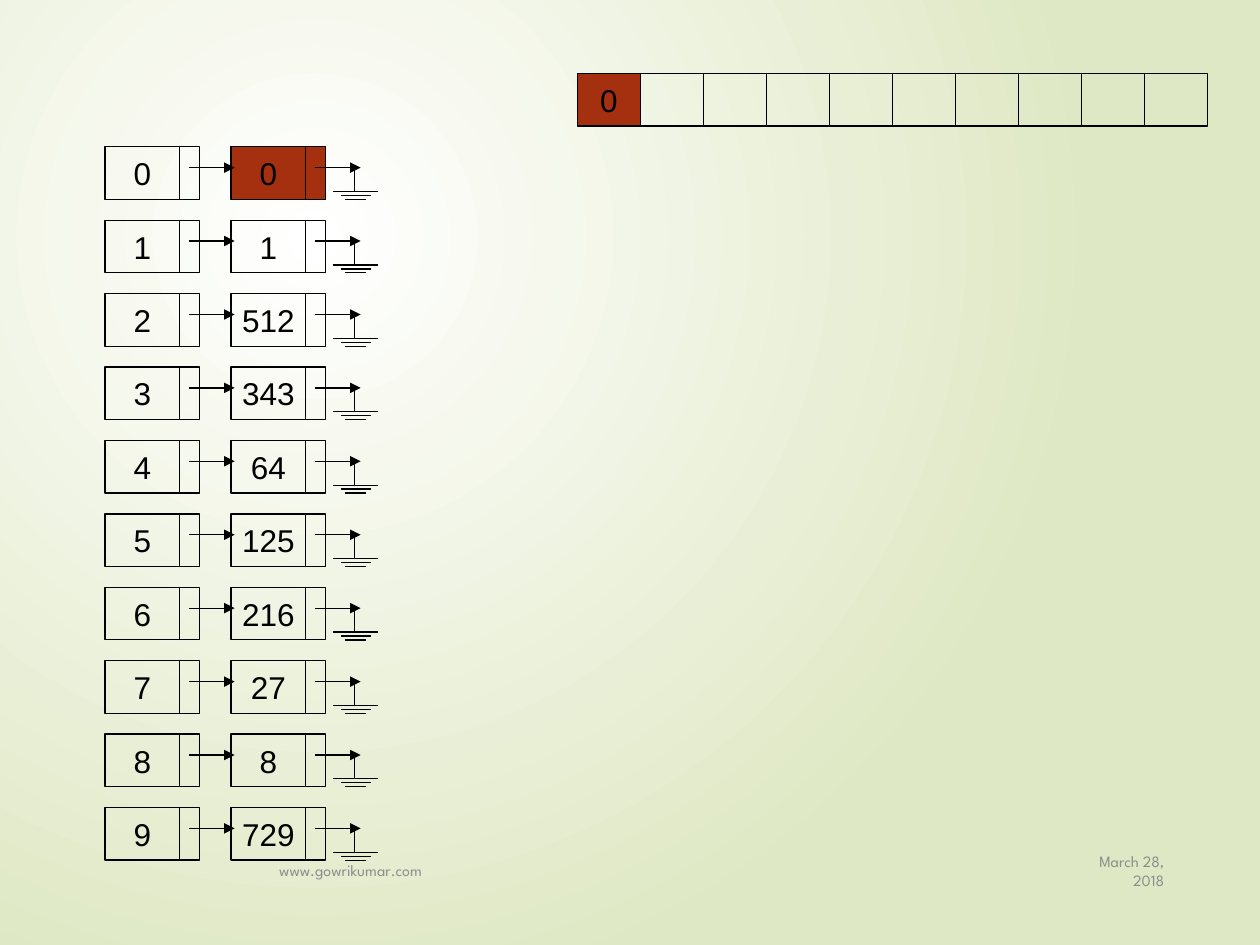
"""Build a radix sort slide: ten linked buckets and the output array."""
from lxml import etree
from pptx import Presentation
from pptx.dml.color import RGBColor
from pptx.enum.shapes import MSO_CONNECTOR as Link, MSO_SHAPE as Shape
from pptx.enum.text import MSO_ANCHOR as Anchor, PP_ALIGN as Align
from pptx.oxml.ns import qn
from pptx.util import Cm, Pt

COLORS = {
    "ink": "000000",
    "active": "A53010",
    "footer": "8C8C8C",
    "center": "FFFFFF",
    "edge": "DFE8C4",
}
BUCKETS = ["0", "1", "512", "343", "64", "125", "216", "27", "8", "729"]
ARRAY = ["0"] + [""] * 9
ACTIVE = 0
FOOTERS = [
    ("March 28, 2018", (21.59, 17.04, 2.13, 1.02), Align.RIGHT),
    ("www.gowrikumar.com", (5.38, 17.04, 15.88, 1.02), Align.LEFT),
]
CELL_FONT = {"name": "Arial", "size": Pt(18)}
FOOTER_FONT = {"name": "League Spartan", "size": Pt(9)}

INDEX_LEFT, NODE_LEFT, LIST_TOP, PITCH = 2.12, 4.66, 2.96, 1.48
VALUE_WIDTH, POINTER_WIDTH, HEIGHT = 1.5, 0.41, 1.06
ARRAY_LEFT, ARRAY_TOP, CELL_WIDTH = 11.64, 1.48, 1.27
ARROW = (1.69, 0.42, 2.61, 0.42)
GROUND = [
    (2.05, 0.9, 2.96, 0.9),
    (2.29, 1.06, 2.71, 1.06),
    (2.22, 0.98, 2.81, 0.98),
    (2.48, 0.9, 2.48, 0.42),
]


def color(name):
    return RGBColor.from_string(COLORS[name])


def write(box, text, font, ink, align):
    frame = box.text_frame
    frame.vertical_anchor = Anchor.MIDDLE
    para = frame.paragraphs[0]
    para.alignment = align
    span = para.add_run()
    span.text = text
    for key, value in font.items():
        setattr(span.font, key, value)
    span.font.color.rgb = color(ink)


def outline(line):
    line.color.rgb = color("ink")
    line.width = Pt(0.75)


def add_cell(shapes, left, top, width, text="", active=False):
    box = shapes.add_shape(Shape.RECTANGLE, Cm(left), Cm(top), Cm(width), Cm(HEIGHT))
    box.shadow.inherit = False
    if active:
        box.fill.solid()
        box.fill.fore_color.rgb = color("active")
    else:
        box.fill.background()
    outline(box.line)
    if text:
        box.text_frame.word_wrap = False
        write(box, text, CELL_FONT, "ink", Align.CENTER)


def add_line(shapes, left, top, offsets, arrow=False):
    x1, y1, x2, y2 = offsets
    line = shapes.add_connector(
        Link.STRAIGHT, Cm(left + x1), Cm(top + y1), Cm(left + x2), Cm(top + y2))
    outline(line.line)
    properties = line.element.find(qn("p:spPr"))
    if arrow:
        etree.SubElement(properties.find(qn("a:ln")), qn("a:tailEnd"), type="triangle")
    etree.SubElement(properties, qn("a:effectLst"))


def add_node(page, left, top, text, active=False):
    shapes = page.shapes.add_group_shape().shapes
    add_cell(shapes, left, top, VALUE_WIDTH, text, active)
    add_cell(shapes, left + VALUE_WIDTH, top, POINTER_WIDTH, active=active)
    return shapes


def paint_background(page):
    fill = page.background.fill
    fill.gradient()
    for stop, name in zip(fill.gradient_stops, ("center", "edge")):
        stop.color.rgb = color(name)
    gradient = page.element.find(".//" + qn("a:gradFill"))
    gradient.remove(gradient.find(qn("a:lin")))
    circle = etree.SubElement(gradient, qn("a:path"), path="circle")
    etree.SubElement(circle, qn("a:fillToRect"),
                     l="50000", t="50000", r="100000", b="100000")


def main():
    deck = Presentation()
    deck.slide_width, deck.slide_height = Cm(25.4), Cm(19.05)
    page = deck.slides.add_slide(deck.slide_layouts[6])
    paint_background(page)

    for text, place, align in FOOTERS:
        box = page.shapes.add_textbox(*map(Cm, place))
        box.text_frame.word_wrap = True
        write(box, text, FOOTER_FONT, "footer", align)

    for index, value in enumerate(BUCKETS):
        top = LIST_TOP + index * PITCH
        add_node(page, INDEX_LEFT, top, str(index))
        node = add_node(page, NODE_LEFT, top, value, index == ACTIVE)
        add_line(page.shapes, INDEX_LEFT, top, ARROW, arrow=True)
        add_line(node, NODE_LEFT, top, ARROW, arrow=True)
        for offsets in GROUND:
            add_line(node, NODE_LEFT, top, offsets)

    for index, value in enumerate(ARRAY):
        add_cell(page.shapes, ARRAY_LEFT + index * CELL_WIDTH, ARRAY_TOP,
                 CELL_WIDTH, value, index == ACTIVE)

    deck.save("out.pptx")


if __name__ == "__main__":
    main()
